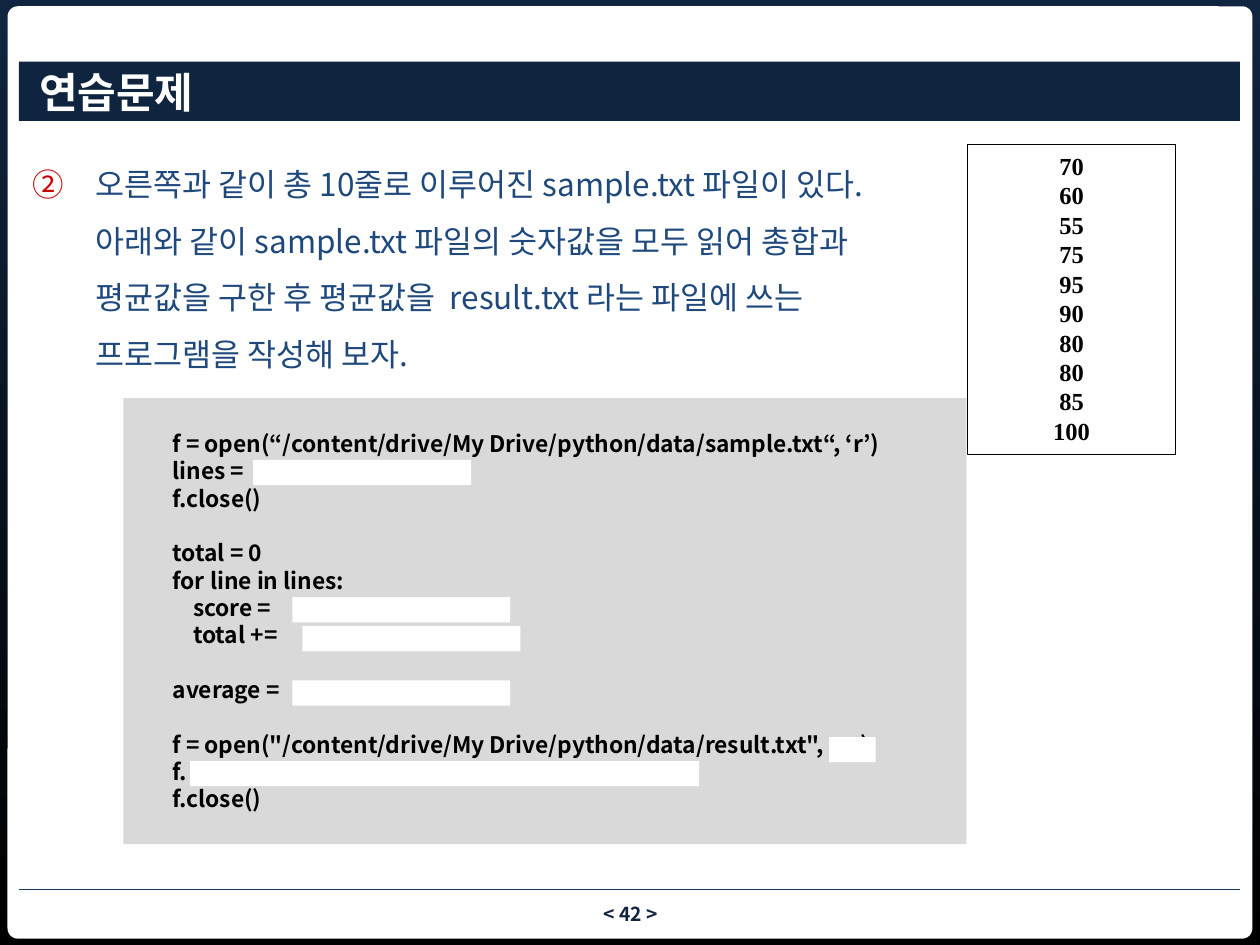
from lxml import etree
from pptx import Presentation
from pptx.dml.color import RGBColor
from pptx.enum.shapes import MSO_CONNECTOR, MSO_SHAPE
from pptx.enum.text import MSO_ANCHOR, PP_ALIGN
from pptx.oxml.ns import qn
from pptx.util import Inches, Pt

RECT, ROUND = MSO_SHAPE.RECTANGLE, MSO_SHAPE.ROUNDED_RECTANGLE
LINE = MSO_CONNECTOR.STRAIGHT
TOP, MIDDLE = MSO_ANCHOR.TOP, MSO_ANCHOR.MIDDLE
LEFT, CENTER = PP_ALIGN.LEFT, PP_ALIGN.CENTER

SANS, SERIF = "Noto Sans CJK KR", "Times New Roman"
COLORS = {
    "sky": "10253F", "night": "000000", "paper": "FFFFFF", "title": "0F243E",
    "rule": "17375E", "body": "1F497D", "bullet": "CC0000",
    "code": "D9D9D9", "ink": "000000",
}

TASK = ("오른쪽과 같이 총 10줄로 이루어진 sample.txt 파일이 있다. "
        "아래와 같이 sample.txt 파일의 숫자값을 모두 읽어 총합과 "
        "평균값을 구한 후 평균값을  result.txt 라는 파일에 쓰는 "
        "프로그램을 작성해 보자.")
SCORES = [70, 60, 55, 75, 95, 90, 80, 80, 85, 100]
CODE = """f = open(“/content/drive/My Drive/python/data/sample.txt“, ‘r’)
lines =
f.close()

total = 0
for line in lines:
    score =
    total +=

average =

f = open("/content/drive/My Drive/python/data/result.txt",       )
f.
f.close()"""
# Blanks to fill in: left, top, width inside the code box
BLANKS = [(1.03, 0.49, 1.73), (1.34, 1.58, 1.73), (1.42, 1.81, 1.73),
          (1.34, 2.24, 1.73), (0.53, 2.88, 4.04), (5.6, 2.69, 0.37)]


def rgb(name):
    return RGBColor.from_string(COLORS[name])


def add_box(slide, box, fill=None, line=None, kind=RECT):
    shape = slide.shapes.add_shape(kind, *map(Inches, box))
    shape.shadow.inherit = False
    if fill:
        shape.fill.solid()
        shape.fill.fore_color.rgb = rgb(fill)
    else:
        shape.fill.background()
    if line:
        shape.line.color.rgb = rgb(line)
        shape.line.width = Pt(0.75)
    else:
        shape.line.fill.background()
    return shape


def set_text(shape, text, size, color, font=SANS, bold=True, align=LEFT,
             anchor=MIDDLE, pad=(0, 0, 0, 0), wrap=True):
    frame = shape.text_frame
    frame.text = text
    frame.word_wrap = wrap
    frame.vertical_anchor = anchor
    (frame.margin_left, frame.margin_top,
     frame.margin_right, frame.margin_bottom) = map(Inches, pad)
    for para in frame.paragraphs:
        para.alignment = align
        if not para.runs:
            para.font.size = Pt(size)
        for run in para.runs:
            run.font.size = Pt(size)
            run.font.bold = bold
            run.font.color.rgb = rgb(color)
            run.font.name = font
            east = etree.SubElement(run.font._element, qn("a:ea"))
            east.set("typeface", font)


def add_frame(slide, box):
    """Dark gradient, white page, footer rule and page number."""
    left, top, width, height = box
    fill = slide.background.fill
    fill.gradient()
    fill.gradient_angle = 270
    for stop, name, pos in zip(fill.gradient_stops, ("sky", "night"), (0, 1)):
        stop.color.rgb = rgb(name)
        stop.position = pos
    page = add_box(slide, box, "paper", kind=ROUND)
    page.adjustments[0] = 0.011

    y = Inches(top + height - 0.39)
    rule = slide.shapes.add_connector(
        LINE, Inches(left + 0.09), y, Inches(left + width - 0.1), y)
    rule.line.color.rgb = rgb("rule")
    rule.line.width = Pt(1)
    etree.SubElement(rule._element.spPr, qn("a:effectLst"))

    area = (left + 3.86, top + height - 0.29, 2.17, 0.19)
    number = slide.shapes.add_textbox(*map(Inches, area))
    set_text(number, "< 42 >", 11, "sky", align=CENTER)


def add_title(slide, box):
    bar = add_box(slide, box, "title")
    set_text(bar, "연습문제", 24, "paper", pad=(0.16, 0, 0, 0))


def add_task(slide, box):
    """Question with a red circled number."""
    area = slide.shapes.add_textbox(*map(Inches, box))
    set_text(area, TASK, 18, "body", bold=False, anchor=TOP)
    para = area.text_frame.paragraphs[0]
    para.line_spacing = 1.5
    props = para._p.get_or_add_pPr()
    props.set("marL", str(Inches(0.5)))
    props.set("indent", str(Inches(-0.5)))
    color = etree.SubElement(props, qn("a:buClr"))
    etree.SubElement(color, qn("a:srgbClr"), val=COLORS["bullet"])
    etree.SubElement(props, qn("a:buFont"), typeface=SANS)
    etree.SubElement(props, qn("a:buAutoNum"),
                     type="circleNumDbPlain", startAt="2")


def add_scores(slide, box):
    sheet = add_box(slide, box, line="ink")
    set_text(sheet, "\n".join(map(str, SCORES)), 14, "ink", SERIF,
             align=CENTER, anchor=TOP, pad=(0.1, 0.05, 0.1, 0.05))


def add_code(slide, box):
    """Program listing with white blanks over it."""
    panel = add_box(slide, box, "code")
    set_text(panel, CODE, 13, "ink", pad=(0.39, 0.05, 0.1, 0.05), wrap=False)
    for x, y, width in BLANKS:
        add_box(slide, (box[0] + x, box[1] + y, width, 0.2), "paper")


def main():
    deck = Presentation()
    deck.slide_width, deck.slide_height = Inches(10), Inches(7.5)
    slide = deck.slides.add_slide(deck.slide_layouts[6])
    add_frame(slide, (0.06, 0.05, 9.88, 7.4))
    add_title(slide, (0.15, 0.49, 9.69, 0.47))
    add_task(slide, (0.26, 1.16, 7.03, 1.76))
    add_scores(slide, (7.68, 1.15, 1.65, 2.46))
    add_code(slide, (0.98, 3.16, 6.69, 3.54))
    deck.save("out.pptx")


if __name__ == "__main__":
    main()
